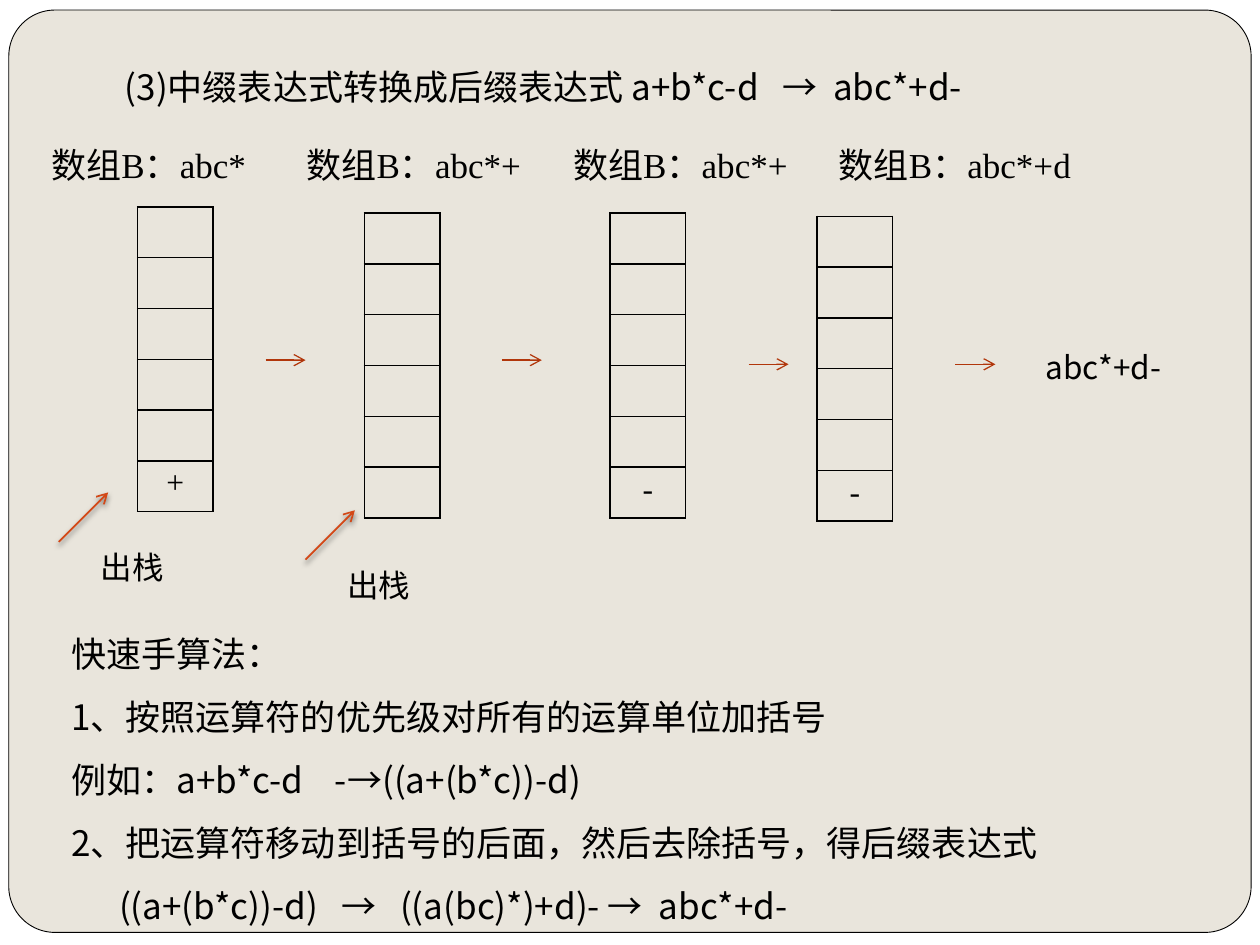
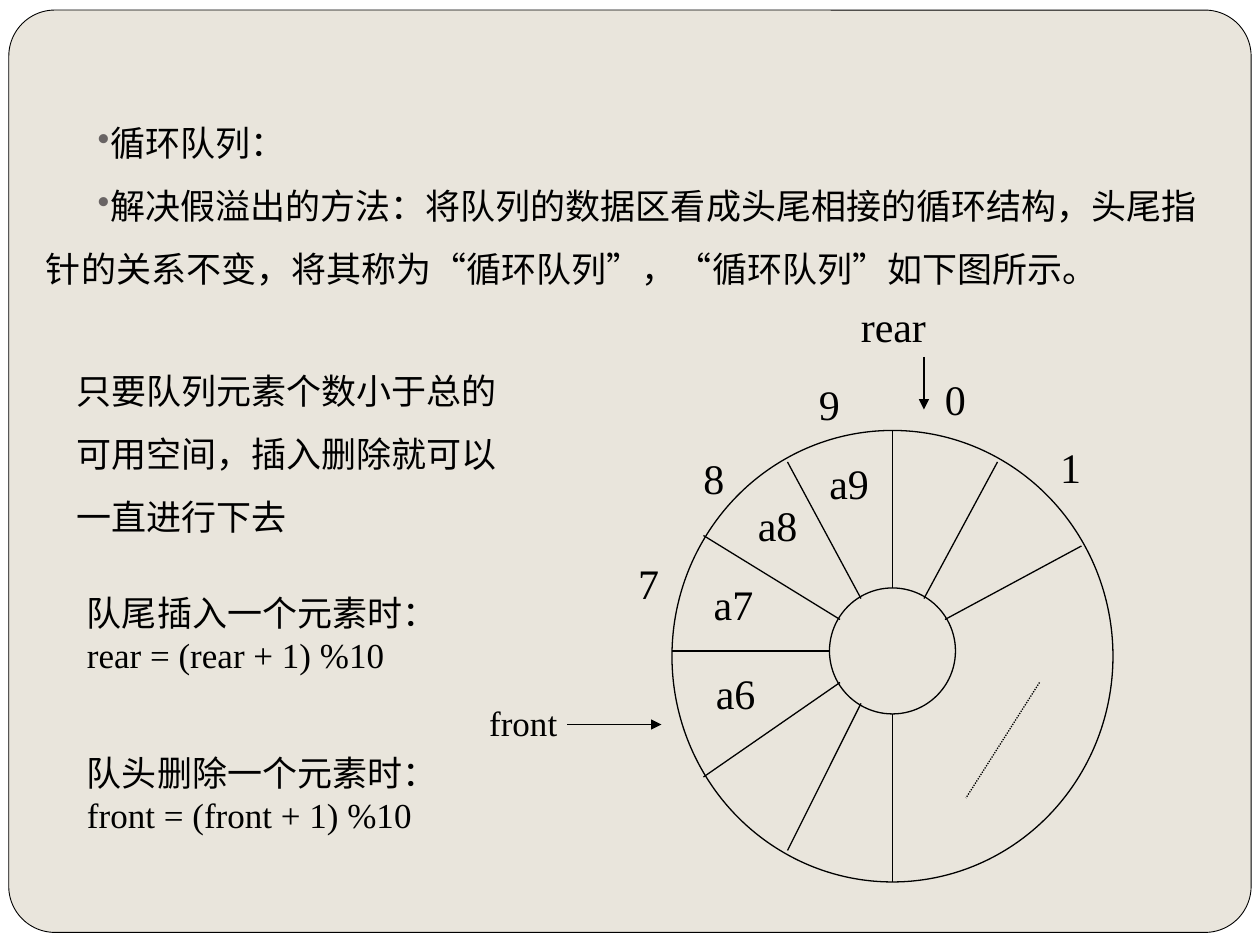
from lxml.etree import SubElement
from pptx import Presentation
from pptx.dml.color import RGBColor
from pptx.enum.dml import MSO_LINE
from pptx.enum.shapes import MSO_CONNECTOR, MSO_SHAPE
from pptx.enum.text import PP_ALIGN
from pptx.oxml import parse_xml
from pptx.oxml.ns import nsdecls, qn
from pptx.util import Inches, Pt

hue = RGBColor.from_string
BLACK, SAND, RUST, FLAME, GREY = "000000", "E9E5DC", "B1360B", "D34817", "696464"
SERIF, SANS = "Times New Roman", "Noto Sans CJK SC"

deck = Presentation()
deck.slide_width, deck.slide_height = Inches(10), Inches(7.5)
# The grid has 120 columns and 90 rows of square cells
unit = deck.slide_width / 120


def write(slide, left, top, wide, high, lines, size=20, face=SERIF, pitch=None):
    box = slide.shapes.add_textbox(*[int(n * unit) for n in (left, top, wide, high)])
    frame = box.text_frame
    frame.word_wrap = True
    frame.text = "\n".join(lines)
    for para in frame.paragraphs:
        para.font.size, para.font.name = Pt(size), face
        para.font.color.rgb = hue(BLACK)
        if pitch:
            para.line_spacing = Pt(pitch)
    return frame.paragraphs


def join(slide, ends, color=BLACK, width=0.75, head=None, dash=None, shade=False):
    link = slide.shapes.add_connector(MSO_CONNECTOR.STRAIGHT, *[int(n * unit) for n in ends])
    link.line.color.rgb = hue(color)
    link.line.width = Pt(width)
    if dash:
        link.line.dash_style = dash
    props = link._element.spPr
    if head:
        SubElement(props.find(qn("a:ln")), qn("a:tailEnd"), type=head)
    glow = SubElement(props, qn("a:effectLst"))
    if shade:
        cast = SubElement(glow, qn("a:outerShdw"), blurRad=str(Pt(3)), dist=str(Pt(2)),
                          dir="5400000", rotWithShape="0")
        tone = SubElement(cast, qn("a:srgbClr"), val=BLACK)
        SubElement(tone, qn("a:alpha"), val="50000")


# Shared rounded card
pages = []
for _ in range(2):
    page = deck.slides.add_slide(deck.slide_layouts[6])
    card = page.shapes.add_shape(MSO_SHAPE.ROUNDED_RECTANGLE, Inches(0.07), Inches(0.08),
                                 Inches(9.86), Inches(7.32))
    card.adjustments[0] = 0.05
    card.shadow.inherit = False
    card.fill.solid()
    card.fill.fore_color.rgb = hue(SAND)
    card.line.color.rgb = hue(BLACK)
    card.line.width = Pt(0.5)
    pages.append(page)
stack, ring = pages

# Slide 1: heading and method
write(stack, 10.7, 3.7, 106, 7.2, ["(3)中缀表达式转换成后缀表达式 a+b*c-d   →  abc*+d-"],
      face=SANS, pitch=36)
steps = write(stack, 5.6, 57.7, 111.5, 31.2, [
    "快速手算法：",
    "1、按照运算符的优先级对所有的运算单位加括号",
    "例如：a+b*c-d    -→((a+(b*c))-d)",
    "2、把运算符移动到括号的后面，然后去除括号，得后缀表达式",
    "((a+(b*c))-d)   →   ((a(bc)*)+d)- →  abc*+d-",
], face=SANS, pitch=36)
steps[-1]._p.pPr.set("marL", str(Inches(0.38)))

# Slide 1: stacks, each with its array label and arrow
ROWS, WIDE, HIGH = 6, 7.2, 4.84
stages = [  # label left, label, stack left, stack top, bottom cell, arrow left, arrow row
    (3.7, "abc*", 13.1, 19.7, "+", 25.3, 34.3),
    (28, "abc*+", 34.7, 20.3, "", 47.8, 34.3),
    (53.4, "abc*+", 58.1, 20.3, "-", 71.3, 34.7),
    (78.7, "abc*+d", 77.8, 20.6, "-", 91, 34.7),
]
for start, items, left, top, sign, tip, row in stages:
    write(stack, start, 13.1, 32, 5.3, ["数组B：" + items])
    grid = stack.shapes.add_table(ROWS, 1, int(left * unit), int(top * unit),
                                  int(WIDE * unit), int(ROWS * HIGH * unit)).table
    grid.first_row = grid.horz_banding = False
    grid.cell(ROWS - 1, 0).text = sign
    for cell in grid.iter_cells():
        cell.margin_top = cell.margin_bottom = Inches(0.04)
        para = cell.text_frame.paragraphs[0]
        para.alignment = PP_ALIGN.CENTER
        para.font.size, para.font.name = Pt(18), SERIF
        para.font.color.rgb = hue(BLACK)
        for side in ("lnL", "lnR", "lnT", "lnB"):
            cell._tc.get_or_add_tcPr().append(parse_xml(
                f'<a:{side} {nsdecls("a")} w="{Pt(1)}"><a:solidFill>'
                f'<a:srgbClr val="{BLACK}"/></a:solidFill></a:{side}>'))
        cell.fill.background()
    join(stack, (tip, row, tip + 3.8, row), RUST, head="arrow")
write(stack, 98.4, 32.6, 17, 4.8, ["abc*+d-"], 18, SANS)

# Slide 1: pops
for left, low in ((5.6, 51.6), (29.1, 53.3)):
    join(stack, (left, low, left + 4.7, low - 4.7), FLAME, 1, "arrow", shade=True)
    write(stack, left + 2.8, low, 16, 4.8, ["出栈"], 18)

# Slide 2: text
points = write(ring, 3.2, 9, 114.4, 19.4, [
    "循环队列：",
    "解决假溢出的方法：将队列的数据区看成头尾相接的循环结构，头尾指针的关系不变，"
    "将其称为“循环队列”，“循环队列”如下图所示。",
], pitch=36)
for para in points:
    props = para._p.pPr
    props.set("marL", "0")
    props.set("indent", str(Inches(0.41)))
    for mark in (f'<a:buClr {nsdecls("a")}><a:srgbClr val="{GREY}"/></a:buClr>',
                 f'<a:buChar {nsdecls("a")} char="•"/>'):
        props.find(qn("a:defRPr")).addprevious(parse_xml(mark))
write(ring, 6.1, 32.6, 43.4, 18.6,
      ["只要队列元素个数小于总的可用空间，插入删除就可以一直进行下去"], pitch=36)
for top, act, name in ((55.7, "队尾插入", "rear"), (71, "队头删除", "front")):
    write(ring, 7.1, top, 38, 9.2, [f"{act}一个元素时：", f"{name} = ({name} + 1) %10"])

# Slide 2: wheel
for left, top, wide, high in ((64, 41, 42, 43), (79, 56, 12, 12)):
    disc = ring.shapes.add_shape(MSO_SHAPE.OVAL, *[int(n * unit) for n in (left, top, wide, high)])
    disc.shadow.inherit = False
    disc.fill.background()
    disc.line.color.rgb = hue(BLACK)
    disc.line.width = Pt(0.75)
spokes = [
    (85, 68, 85, 84), (85, 41, 85, 56), (79, 62, 64, 62),
    (82, 57, 75, 44), (80, 59, 67, 51), (80, 65, 67, 74),
    (82, 67, 75, 81), (95, 44, 88, 57), (90, 59, 103, 52),
]
for ends in spokes:
    join(ring, ends)
join(ring, (99, 65, 92, 76), dash=MSO_LINE.ROUND_DOT)

# Slide 2: slot names and numbers
slots = [
    ("a6", 67, 63), ("a7", 66.8, 54.5), ("a8", 71, 47), ("a9", 77.8, 43),
    ("0", 88.8, 35), ("1", 99.8, 41.5), ("7", 59.6, 52.5), ("8", 65.8, 42.5), ("9", 76.8, 35.5),
]
for name, left, top in slots:
    write(ring, left, top, 7, 6, [name], 24)

# Slide 2: pointers
write(ring, 45.4, 66.2, 10, 5.3, ["front"])
write(ring, 80.8, 28, 10, 6, ["rear"], 24)
for ends in ((54, 69, 63, 69), (88, 34, 88, 39)):
    join(ring, ends, head="triangle")

deck.save("out.pptx")
